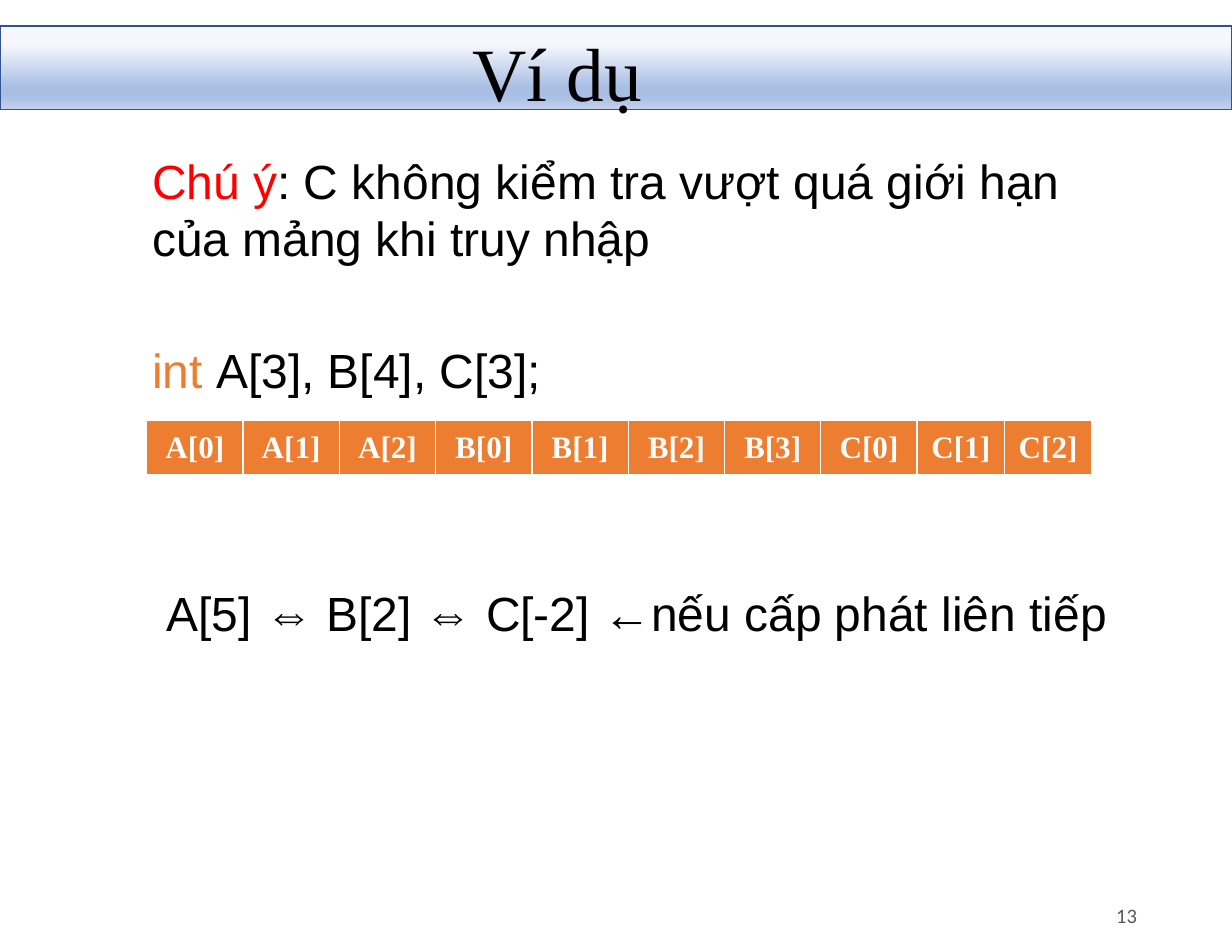
from lxml import etree
from pptx import Presentation
from pptx.dml.color import RGBColor
from pptx.enum.shapes import MSO_SHAPE
from pptx.enum.text import MSO_ANCHOR, PP_ALIGN
from pptx.oxml.ns import qn
from pptx.util import Inches, Pt

RECT = MSO_SHAPE.RECTANGLE
TOP, MID = MSO_ANCHOR.TOP, MSO_ANCHOR.MIDDLE
LEFT, MIDST, RIGHT = PP_ALIGN.LEFT, PP_ALIGN.CENTER, PP_ALIGN.RIGHT

BLACK = RGBColor(0x00, 0x00, 0x00)
WHITE = RGBColor(0xFF, 0xFF, 0xFF)
RED = RGBColor(0xFF, 0x00, 0x00)
ORANGE = RGBColor(0xED, 0x7D, 0x31)
GREY = RGBColor(0x59, 0x59, 0x59)
NAVY = RGBColor(0x31, 0x53, 0x8F)
PALE = RGBColor(0xF5, 0xF7, 0xFC)
BLUE = RGBColor(0xA9, 0xBE, 0xE4)
SOFT = RGBColor(0xC5, 0xD3, 0xED)

STOPS = [(0, PALE), (22, PALE), (74, BLUE), (83, BLUE), (100, SOFT)]
BODY = {"name": "Arial", "size": Pt(30.8)}
HEAD = {"name": "Times New Roman", "size": Pt(48.4)}
CELL = {"name": "Times New Roman", "size": Pt(20), "bold": True}
NOTE = {"name": "Calibri", "size": Pt(13.2)}
ARRAYS = {"A": 3, "B": 4, "C": 3}
EDGES = {"L": 1, "R": 1, "T": 1, "B": 3}


def add_run(para, text, look, color):
    run = para.add_run()
    run.text = text
    for key, value in look.items():
        setattr(run.font, key, value)
    run.font.color.rgb = color


def fill_text(frame, paras, look, anchor=TOP, align=LEFT):
    """Each paragraph is a list of (text, color) runs."""
    frame.word_wrap = True
    frame.vertical_anchor = anchor
    for i, runs in enumerate(paras):
        para = frame.add_paragraph() if i else frame.paragraphs[0]
        para.alignment = align
        for text, color in runs:
            add_run(para, text, look, color)


def add_text(slide, box, paras, look, **place):
    frame = slide.shapes.add_textbox(*map(Inches, box)).text_frame
    fill_text(frame, paras, look, **place)
    return frame


def add_color(parent, color):
    solid = etree.SubElement(parent, qn("a:srgbClr"))
    solid.set("val", str(color))


def add_band(slide):
    band = slide.shapes.add_shape(RECT, 0, Inches(0.23), Inches(11), Inches(0.75))
    band.shadow.inherit = False
    band.line.color.rgb = NAVY
    band.line.width = Pt(1)
    band.fill.gradient()
    band.fill.gradient_angle = 270
    # Replace the two default stops
    stops = band._element.spPr.find(".//" + qn("a:gsLst"))
    for stop in list(stops):
        stops.remove(stop)
    for pos, color in STOPS:
        stop = etree.SubElement(stops, qn("a:gs"), pos=str(pos * 1000))
        add_color(stop, color)
    # Keep the band behind the title
    slide.shapes._spTree.insert(2, band._element)


def set_title(slide):
    title = slide.shapes.title
    box = dict(left=4.12, top=0.17, width=1.79, height=1.03)
    for key, value in box.items():
        setattr(title, key, Inches(value))
    fill_text(title.text_frame, [[("Ví dụ", BLACK)]], HEAD, anchor=MID)
    title.text_frame.paragraphs[0].line_spacing = 0.9


def add_edges(cell):
    props = cell._tc.get_or_add_tcPr()
    for i, (side, width) in enumerate(EDGES.items()):
        line = etree.Element(qn("a:ln" + side), w=str(Pt(width)))
        add_color(etree.SubElement(line, qn("a:solidFill")), WHITE)
        props.insert(i, line)


def add_cells(slide):
    names = [f"{name}[{i}]" for name, size in ARRAYS.items() for i in range(size)]
    widths = [0.86] * 8 + [0.78] * 2
    box = (1.31, 3.75, sum(widths), 0.5)
    table = slide.shapes.add_table(1, len(names), *map(Inches, box)).table
    for i, (name, width) in enumerate(zip(names, widths)):
        table.columns[i].width = Inches(width)
        cell = table.cell(0, i)
        cell.fill.solid()
        cell.fill.fore_color.rgb = ORANGE
        cell.margin_left = cell.margin_right = Inches(0.11)
        cell.margin_top = cell.margin_bottom = Inches(0.06)
        cell.vertical_anchor = MID
        para = cell.text_frame.paragraphs[0]
        para.alignment = MIDST
        add_run(para, name, CELL, WHITE)
        add_edges(cell)


def main():
    deck = Presentation()
    deck.slide_width, deck.slide_height = Inches(11), Inches(8.5)
    slide = deck.slides.add_slide(deck.slide_layouts[5])

    # Heading
    add_band(slide)
    set_title(slide)

    # Array memory layout
    add_cells(slide)

    # Warning and declaration
    body = add_text(slide, (1.26, 1.3, 8.98, 2.38), [
        [("Chú ý", RED),
         (": C không kiểm tra vượt quá giới hạn của mảng khi truy nhập", BLACK)],
        [("int ", ORANGE), ("A[3], B[4], C[3];", BLACK)],
    ], BODY)
    body.paragraphs[1].space_before = Pt(48)

    # Equal addresses
    add_text(slide, (1.39, 5.16, 8.89, 0.62),
             [[("A[5] ⇔ B[2] ⇔ C[-2] ←nếu cấp phát liên tiếp", BLACK)]], BODY)

    # Slide number
    add_text(slide, (8.87, 7.95, 1.38, 0.45), [[("13", GREY)]], NOTE,
             anchor=MID, align=RIGHT)

    deck.save("out.pptx")


if __name__ == "__main__":
    main()
